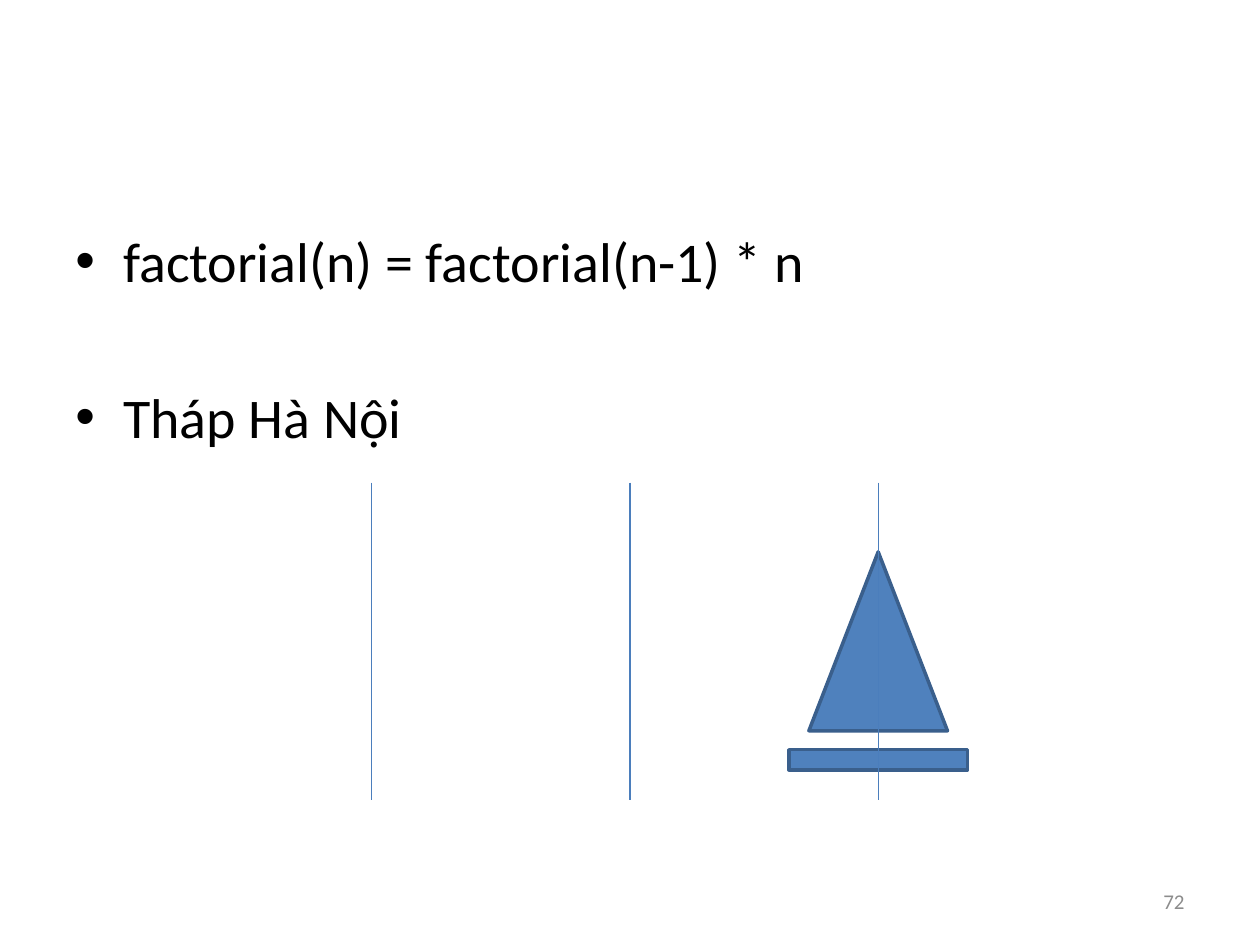
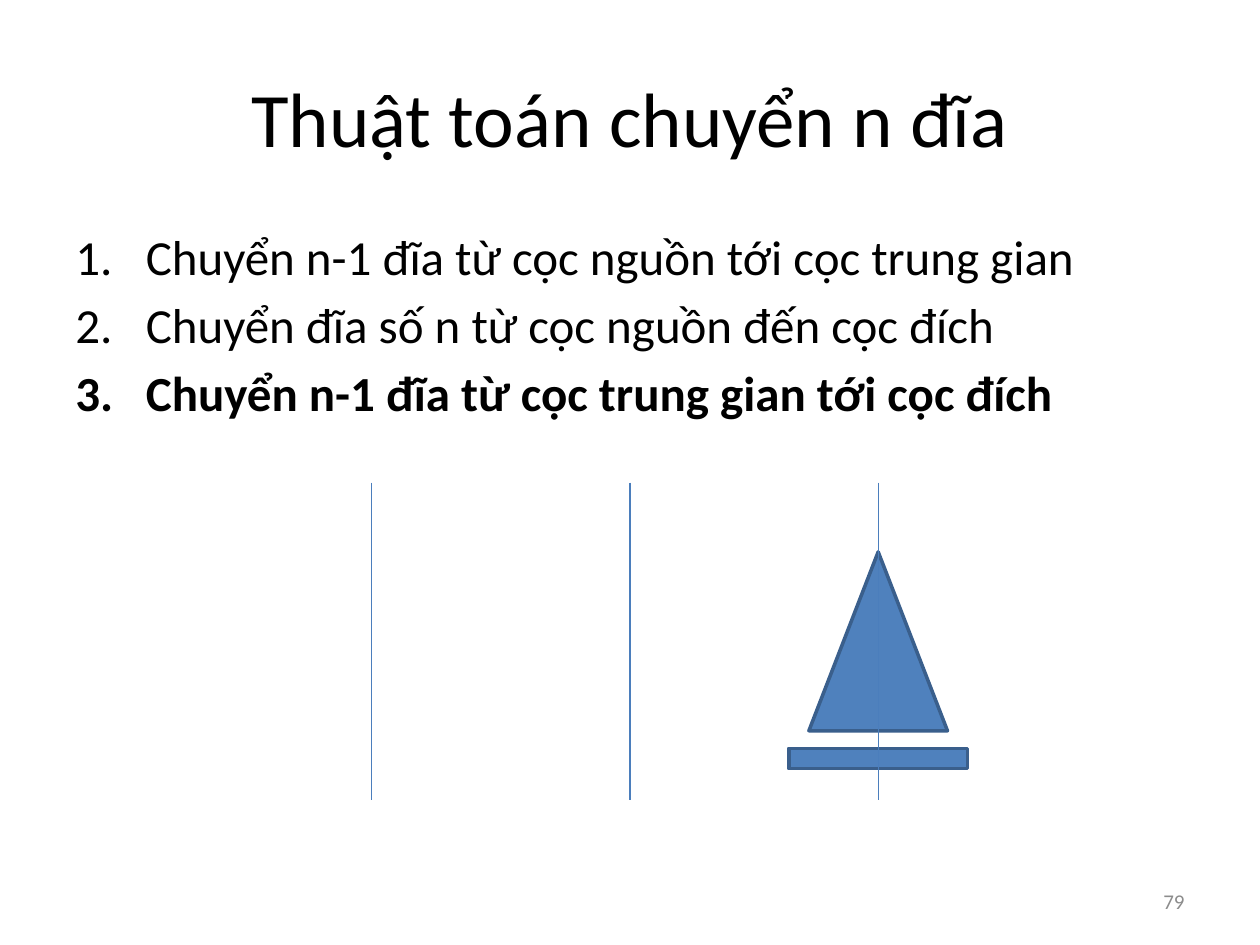
from pptx import Presentation
from pptx.dml.color import RGBColor
from pptx.enum.shapes import MSO_CONNECTOR, MSO_SHAPE
from pptx.enum.text import MSO_ANCHOR, PP_ALIGN
from pptx.oxml.ns import qn
from pptx.util import Inches, Pt
from lxml.etree import SubElement

COLORS = {"text": "000000", "number": "8C8C8C", "disk": "4F81BD",
          "outline": "3A5F8C", "peg": "4B7EBC"}
FONT = "Calibri"
TITLE_ONLY, BLANK = 5, 6

# Shared layout, in inches
MARGIN, CONTENT_WIDTH = 0.5, 9
PEGS = [2.95, 5, 6.97]
PEG_TOP, PEG_BOTTOM = 3.83, 6.35
TOWER_TOP, TOWER_WIDTH, TOWER_HEIGHT = 4.38, 1.1, 1.42
BASE_WIDTH, BASE_HEIGHT = 1.42, 0.16

SLIDES = [
    {"lines": ["factorial(n) = factorial(n-1) * n", "Tháp Hà Nội"],
     "size": 32, "gap": 50.6, "indent": 0.38, "bullet": ("a:buChar", {"char": "•"}),
     "body_height": 4.95, "base_top": 5.95, "number": "72"},
    {"title": "Thuật toán chuyển n đĩa",
     "lines": ["Chuyển n-1 đĩa từ cọc nguồn tới cọc trung gian",
               "Chuyển đĩa số n từ cọc nguồn đến cọc đích",
               "Chuyển n-1 đĩa từ cọc trung gian tới cọc đích"],
     "bold_line": 2, "size": 28, "gap": 5.3, "indent": 0.56,
     "bullet": ("a:buAutoNum", {"type": "arabicPeriod"}),
     "body_height": 5.54, "base_top": 5.94, "number": "79"},
]


def write(box, lines, size, color="text", align=PP_ALIGN.LEFT,
          anchor=MSO_ANCHOR.TOP, gap=0, indent=0, bullet=None, bold_line=None):
    frame = box.text_frame
    frame.word_wrap = True
    frame.vertical_anchor = anchor
    for index, line in enumerate(lines):
        para = frame.add_paragraph() if index else frame.paragraphs[0]
        para.alignment = align
        para.space_before = Pt(gap if index else 0)
        span = para.add_run()
        span.text = line
        span.font.name = FONT
        span.font.size = Pt(size)
        span.font.bold = index == bold_line
        span.font.color.rgb = RGBColor.from_string(COLORS[color])
        if bullet:
            tag, attributes = bullet
            properties = para._p.get_or_add_pPr()
            properties.set("marL", str(Inches(indent)))
            properties.set("indent", str(-Inches(indent)))
            SubElement(properties, qn("a:buFont"), typeface="Arial" if tag == "a:buChar" else FONT)
            SubElement(properties, qn(tag), attributes)


deck = Presentation()
deck.slide_width, deck.slide_height = Inches(10), Inches(7.5)

for content in SLIDES:
    has_title = "title" in content
    page = deck.slides.add_slide(deck.slide_layouts[TITLE_ONLY if has_title else BLANK])

    # Title
    if has_title:
        title = page.shapes.title
        title.left, title.top = Inches(MARGIN), Inches(0.3)
        title.width, title.height = Inches(CONTENT_WIDTH), Inches(1.25)
        write(title, [content["title"]], 44, align=PP_ALIGN.CENTER, anchor=MSO_ANCHOR.MIDDLE)

    # List
    body = page.shapes.add_textbox(Inches(MARGIN), Inches(1.75), Inches(CONTENT_WIDTH),
                                   Inches(content["body_height"]))
    write(body, content["lines"], content["size"], gap=content["gap"],
          indent=content["indent"], bullet=content["bullet"],
          bold_line=content.get("bold_line"))

    # Tower and its base disk, centred on the last peg
    for kind, top, width, height in [
            (MSO_SHAPE.ISOSCELES_TRIANGLE, TOWER_TOP, TOWER_WIDTH, TOWER_HEIGHT),
            (MSO_SHAPE.RECTANGLE, content["base_top"], BASE_WIDTH, BASE_HEIGHT)]:
        disk = page.shapes.add_shape(kind, Inches(PEGS[-1] - width / 2), Inches(top),
                                     Inches(width), Inches(height))
        disk.shadow.inherit = False
        disk.fill.solid()
        disk.fill.fore_color.rgb = RGBColor.from_string(COLORS["disk"])
        disk.line.color.rgb = RGBColor.from_string(COLORS["outline"])
        disk.line.width = Pt(2)

    # Pegs
    for x in PEGS:
        peg = page.shapes.add_connector(MSO_CONNECTOR.STRAIGHT, Inches(x), Inches(PEG_TOP),
                                        Inches(x), Inches(PEG_BOTTOM))
        peg.line.color.rgb = RGBColor.from_string(COLORS["peg"])
        peg.line.width = Pt(0.75)
        SubElement(peg._element.spPr, qn("a:effectLst"))

    # Page number
    number = page.shapes.add_textbox(Inches(7.17), Inches(6.95), Inches(2.33), Inches(0.4))
    write(number, [content["number"]], 12, color="number", align=PP_ALIGN.RIGHT,
          anchor=MSO_ANCHOR.MIDDLE)

deck.save("out.pptx")
